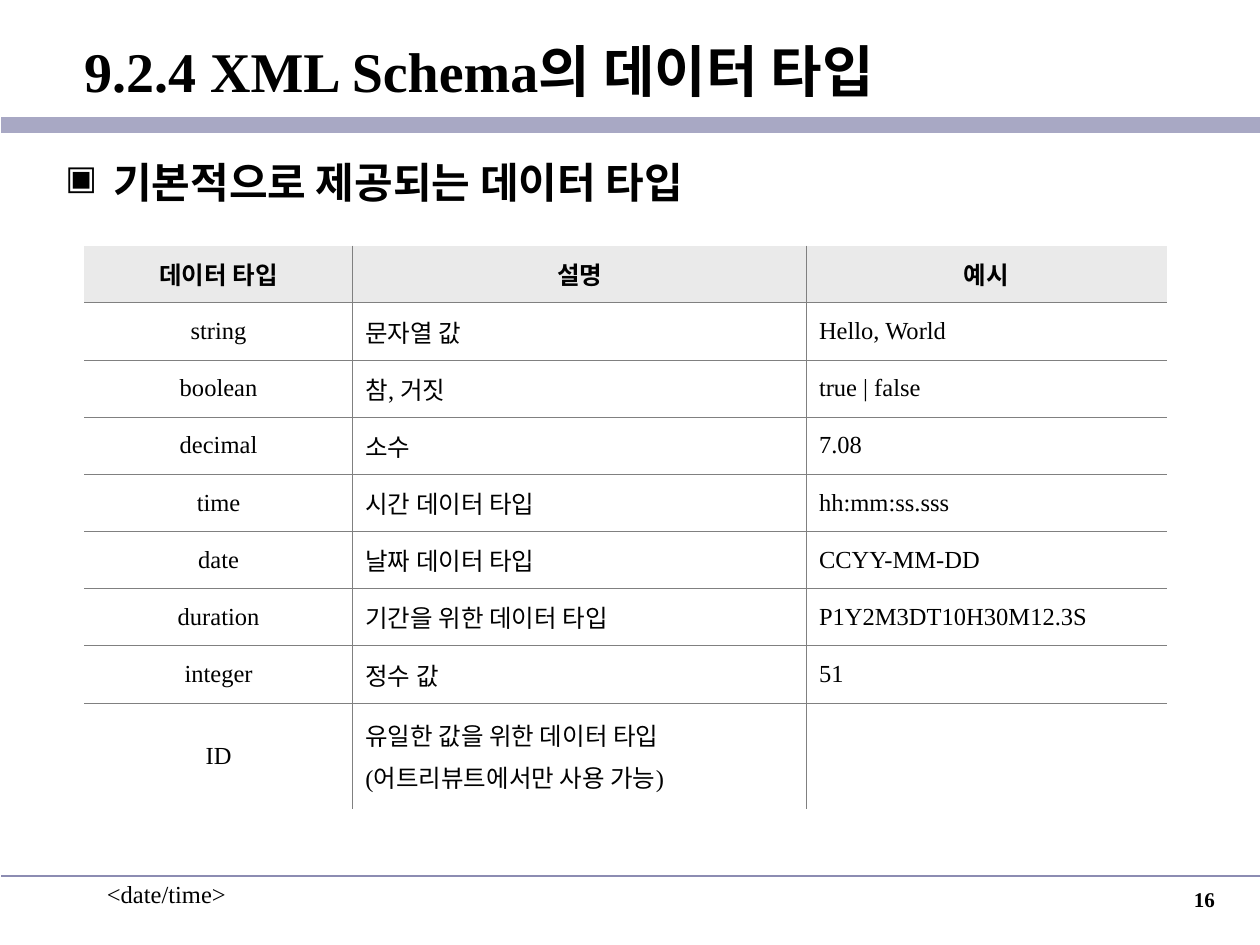
from lxml.etree import SubElement
from pptx import Presentation
from pptx.dml.color import RGBColor
from pptx.enum.shapes import MSO_CONNECTOR
from pptx.enum.text import MSO_ANCHOR, PP_ALIGN
from pptx.oxml.ns import qn
from pptx.util import Inches, Pt

HEADERS = ["데이터 타입", "설명", "예시"]
TYPES = [
    ["string", "문자열 값", "Hello, World"],
    ["boolean", "참, 거짓", "true | false"],
    ["decimal", "소수", "7.08"],
    ["time", "시간 데이터 타입", "hh:mm:ss.sss"],
    ["date", "날짜 데이터 타입", "CCYY-MM-DD"],
    ["duration", "기간을 위한 데이터 타입", "P1Y2M3DT10H30M12.3S"],
    ["integer", "정수 값", "51"],
    ["ID", "유일한 값을 위한 데이터 타입\n(어트리뷰트에서만 사용 가능)", ""],
]


def color(value):
    return RGBColor.from_string(value)


def write(tf, text, size=14, bold=False, align=PP_ALIGN.LEFT, before=0,
          left=0, hanging=0, bullet=None, font="Times New Roman", ink="000000"):
    for i, line in enumerate(text.split("\n")):
        p = tf.add_paragraph() if i else tf.paragraphs[0]
        p.alignment = align
        p.space_before = Pt(before)
        pPr = p._p.get_or_add_pPr()
        pPr.set("marL", str(Inches(left)))
        pPr.set("indent", str(-Inches(hanging)))
        if bullet:
            SubElement(pPr, qn("a:buSzPct"), val="80000")
            SubElement(pPr, qn("a:buChar"), char=bullet)
        r = p.add_run()
        r.text = line
        r.font.name = font
        r.font.size = Pt(size)
        r.font.bold = bold
        r.font.color.rgb = color(ink)


class Deck:
    """Holds the line style and the current slide, and draws each kind of element."""

    def __init__(self, prs, grid="808080", header_fill="EAEAEA"):
        self.s = prs.slides.add_slide(prs.slide_layouts[6])
        self.grid = grid
        self.header_fill = header_fill

    def text(self, x, y, w, h, text, anchor=MSO_ANCHOR.TOP, **fmt):
        sp = self.s.shapes.add_textbox(Inches(x), Inches(y), Inches(w), Inches(h))
        tf = sp.text_frame
        tf.word_wrap = True
        tf.vertical_anchor = anchor
        write(tf, text, **fmt)

    def rule(self, y, ink, width):
        sp = self.s.shapes.add_connector(
            MSO_CONNECTOR.STRAIGHT, Inches(0.01), Inches(y), Inches(10), Inches(y))
        sp.line.color.rgb = color(ink)
        sp.line.width = Pt(width)
        SubElement(sp._element.spPr, qn("a:effectLst"))

    def borders(self, cell, sides):
        tcPr = cell._tc.get_or_add_tcPr()
        for i, (side, shown) in enumerate(sides.items()):
            ln = SubElement(tcPr, qn(f"a:ln{side}"), w=str(Pt(0.45)))
            if shown:
                fill = SubElement(ln, qn("a:solidFill"))
                SubElement(fill, qn("a:srgbClr"), val=self.grid)
            else:
                SubElement(ln, qn("a:noFill"))
            tcPr.insert(i, ln)

    def table(self, x, y, widths, heights, rows):
        last_row, last_col = len(rows) - 1, len(widths) - 1
        sp = self.s.shapes.add_table(
            len(rows), len(widths), Inches(x), Inches(y),
            Inches(sum(widths)), Inches(sum(heights)))
        table = sp.table
        table.first_row = table.horz_banding = False
        for column, width in zip(table.columns, widths):
            column.width = Inches(width)
        for i, values in enumerate(rows):
            table.rows[i].height = Inches(heights[i])
            for j, value in enumerate(values):
                cell = table.cell(i, j)
                cell.vertical_anchor = MSO_ANCHOR.MIDDLE
                cell.margin_left = cell.margin_right = Inches(0.1)
                if i == 0:
                    cell.fill.solid()
                    cell.fill.fore_color.rgb = color(self.header_fill)
                else:
                    cell.fill.background()
                self.borders(cell, {"L": j > 0, "R": j < last_col,
                                    "T": i > 0, "B": i < last_row})
                if value:
                    centred = i == 0 or j == 0
                    write(cell.text_frame, value, bold=i == 0, before=3.5,
                          align=PP_ALIGN.CENTER if centred else PP_ALIGN.LEFT)


def main():
    prs = Presentation()
    prs.slide_width, prs.slide_height = Inches(10), Inches(7.5)
    deck = Deck(prs)
    deck.text(0.75, 6.93, 2.08, 0.5, "<date/time>")
    deck.rule(6.95, "969696", 1)
    deck.rule(0.99, "A8A8C4", 9.25)
    deck.rule(6.95, "8C8CB2", 1)
    deck.text(0.01, 0.11, 9.99, 0.9, "9.2.4 XML Schema의 데이터 타입",
              anchor=MSO_ANCHOR.MIDDLE, size=32, bold=True, left=0.56)
    deck.text(0.42, 1.19, 9.16, 5.71, "기본적으로 제공되는 데이터 타입",
              size=24, bold=True, before=6, left=0.38, hanging=0.38, bullet="▣")
    last_height = 0.84
    row_height = (4.47 - last_height) / len(TYPES)
    deck.table(0.67, 1.95, [2.13, 3.6, 2.86],
               [row_height] * len(TYPES) + [last_height], [HEADERS] + TYPES)
    deck.text(7.66, 6.99, 2.08, 0.5, "16", size=12, bold=True, align=PP_ALIGN.RIGHT)
    prs.save("out.pptx")


if __name__ == "__main__":
    main()
